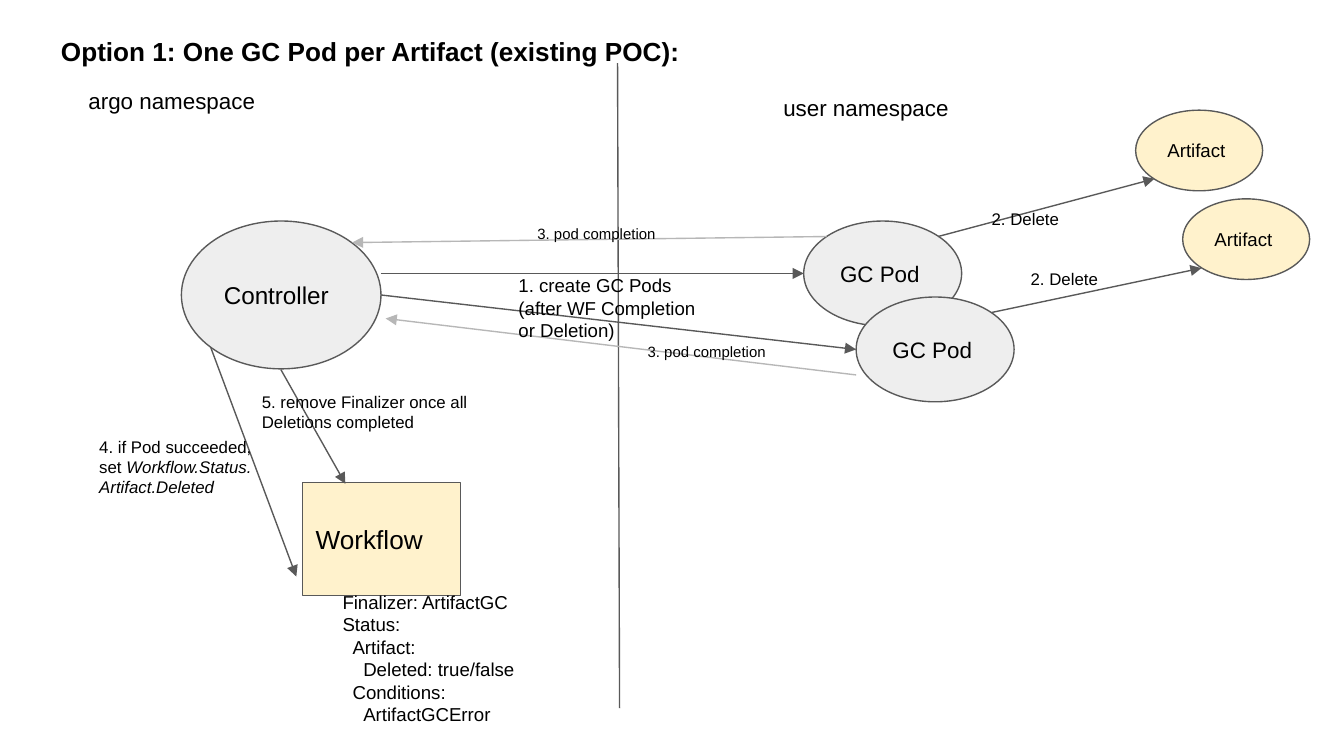
"""Build the slide on garbage collection with one GC pod per artifact."""
from typing import NamedTuple

from lxml.etree import SubElement
from pptx import Presentation
from pptx.dml.color import RGBColor
from pptx.enum.shapes import MSO_CONNECTOR, MSO_SHAPE
from pptx.enum.text import MSO_ANCHOR, PP_ALIGN
from pptx.oxml.ns import qn
from pptx.util import Emu, Pt

PX = 4572
GREY, CREAM, DARK, LIGHT, BLACK = "EEEEEE", "FFF2CC", "595959", "B7B7B7", "000000"


class Run(NamedTuple):
    """A piece of text with one style."""
    text: str
    bold: bool = False
    italic: bool = False


class Line(NamedTuple):
    """A paragraph with its left indent."""
    runs: tuple[Run, ...]
    indent: int = 0


class Node(NamedTuple):
    """A filled shape with a caption."""
    text: str
    x: int
    y: int
    w: int
    h: int
    size: int
    fill: str
    kind: MSO_SHAPE = MSO_SHAPE.OVAL


class Link(NamedTuple):
    """A straight line, with an arrowhead unless told otherwise."""
    x1: int
    y1: int
    x2: int
    y2: int
    color: str = DARK
    arrow: bool = True


class Label(NamedTuple):
    """A text box made of lines."""
    x: int
    y: int
    w: int
    h: int
    size: int
    lines: tuple[Line, ...]


def px(n: int) -> Emu:
    """Turn px into EMU."""
    return Emu(n * PX)


def rgb(color: str) -> RGBColor:
    """Turn a hex string into a colour."""
    return RGBColor.from_string(color)


def plain(*texts: str) -> tuple[Line, ...]:
    """Return unstyled lines."""
    return tuple(Line((Run(text),)) for text in texts)


def write(tf, lines: tuple[Line, ...], size: int) -> None:
    """Fill a text frame with left-aligned lines."""
    tf.word_wrap = True
    tf.margin_left = tf.margin_right = tf.margin_top = tf.margin_bottom = px(20)
    for i, line in enumerate(lines):
        p = tf.add_paragraph() if i else tf.paragraphs[0]
        p.alignment = PP_ALIGN.LEFT
        if line.indent:
            p._p.get_or_add_pPr().set("marL", str(px(line.indent)))
        for run in line.runs:
            r = p.add_run()
            r.text = run.text
            r.font.name, r.font.size = "Arial", Pt(size)
            r.font.bold, r.font.italic = run.bold, run.italic
            r.font.color.rgb = rgb(BLACK)


def draw_node(s, node: Node) -> None:
    """Draw a node with its caption."""
    sp = s.shapes.add_shape(node.kind, px(node.x), px(node.y), px(node.w), px(node.h))
    sp.shadow.inherit = False
    sp.fill.solid()
    sp.fill.fore_color.rgb = rgb(node.fill)
    sp.line.color.rgb = rgb(DARK)
    sp.line.width = Pt(0.75)
    sp.text_frame.vertical_anchor = MSO_ANCHOR.MIDDLE
    write(sp.text_frame, plain(node.text), node.size)


def draw_link(s, link: Link) -> None:
    """Draw a line or an arrow."""
    ends = map(px, (link.x1, link.y1, link.x2, link.y2))
    sp = s.shapes.add_connector(MSO_CONNECTOR.STRAIGHT, *ends)
    sp.line.color.rgb = rgb(link.color)
    sp.line.width = Pt(0.75)
    if link.arrow:
        SubElement(sp.line._get_or_add_ln(), qn("a:tailEnd"),
                   type="triangle", w="med", len="med")
    SubElement(sp._element.spPr, qn("a:effectLst"))


def draw_label(s, label: Label) -> None:
    """Draw a text box."""
    sp = s.shapes.add_textbox(px(label.x), px(label.y), px(label.w), px(label.h))
    write(sp.text_frame, label.lines, label.size)


NODES = (
    Node("Controller", 270, 329, 297, 220, 13, GREY),
    Node("GC Pod", 1196, 329, 235, 156, 12, GREY),
    Node("GC Pod", 1274, 442, 235, 156, 12, GREY),
    Node("Artifact", 1690, 164, 189, 120, 10, CREAM),
    Node("Artifact", 1760, 296, 189, 120, 10, CREAM),
    Node("Workflow", 450, 718, 235, 168, 14, CREAM, MSO_SHAPE.RECTANGLE),
)

LINKS = (
    Link(567, 407, 1196, 407),
    Link(567, 439, 1274, 520),
    Link(1396, 352, 1718, 266),
    Link(1476, 465, 1788, 399),
    Link(418, 550, 514, 720),
    Link(314, 518, 441, 858),
    Link(1230, 352, 524, 361, LIGHT),
    Link(1274, 558, 574, 474, LIGHT),
)

LABELS = (
    Label(71, 33, 1024, 88, 14, (
        Line((Run("Option 1: One GC Pod per Artifact (existing POC):", bold=True),)),)),
    Label(112, 110, 320, 80, 12, plain("argo namespace")),
    Label(1146, 120, 320, 80, 12, plain("user namespace")),
    Label(752, 388, 320, 142, 10,
          plain("1. create GC Pods", "(after WF Completion or Deletion)")),
    Label(1456, 296, 178, 70, 9, plain("2. Delete")),
    Label(1514, 385, 178, 70, 9, plain("2. Delete")),
    Label(780, 321, 220, 68, 8, plain("3. pod completion")),
    Label(944, 496, 220, 68, 8, plain("3. pod completion")),
    Label(128, 630, 320, 132, 9, (
        *plain("4. if Pod succeeded,"),
        Line((Run("set "), Run("Workflow.Status.", italic=True))),
        Line((Run("Artifact.Deleted", italic=True),)))),
    Label(370, 563, 394, 100, 9,
          plain("5. remove Finalizer once all Deletions completed")),
    Label(490, 859, 378, 242, 10, (
        *plain("Finalizer: ArtifactGC", "Status:"),
        Line((Run("Artifact:"),), 15),
        Line((Run("Deleted: true/false"),), 31),
        Line((Run("Conditions:"),), 15),
        Line((Run("ArtifactGCError"),), 31))),
)


def main() -> None:
    """Build and save the slide."""
    prs = Presentation()
    prs.slide_width, prs.slide_height = px(2000), px(1125)
    s = prs.slides.add_slide(prs.slide_layouts[6])
    draw_link(s, Link(919, 94, 922, 1054, arrow=False))
    for node in NODES:
        draw_node(s, node)
    for link in LINKS:
        draw_link(s, link)
    for label in LABELS:
        draw_label(s, label)
    prs.save("out.pptx")


if __name__ == "__main__":
    main()
